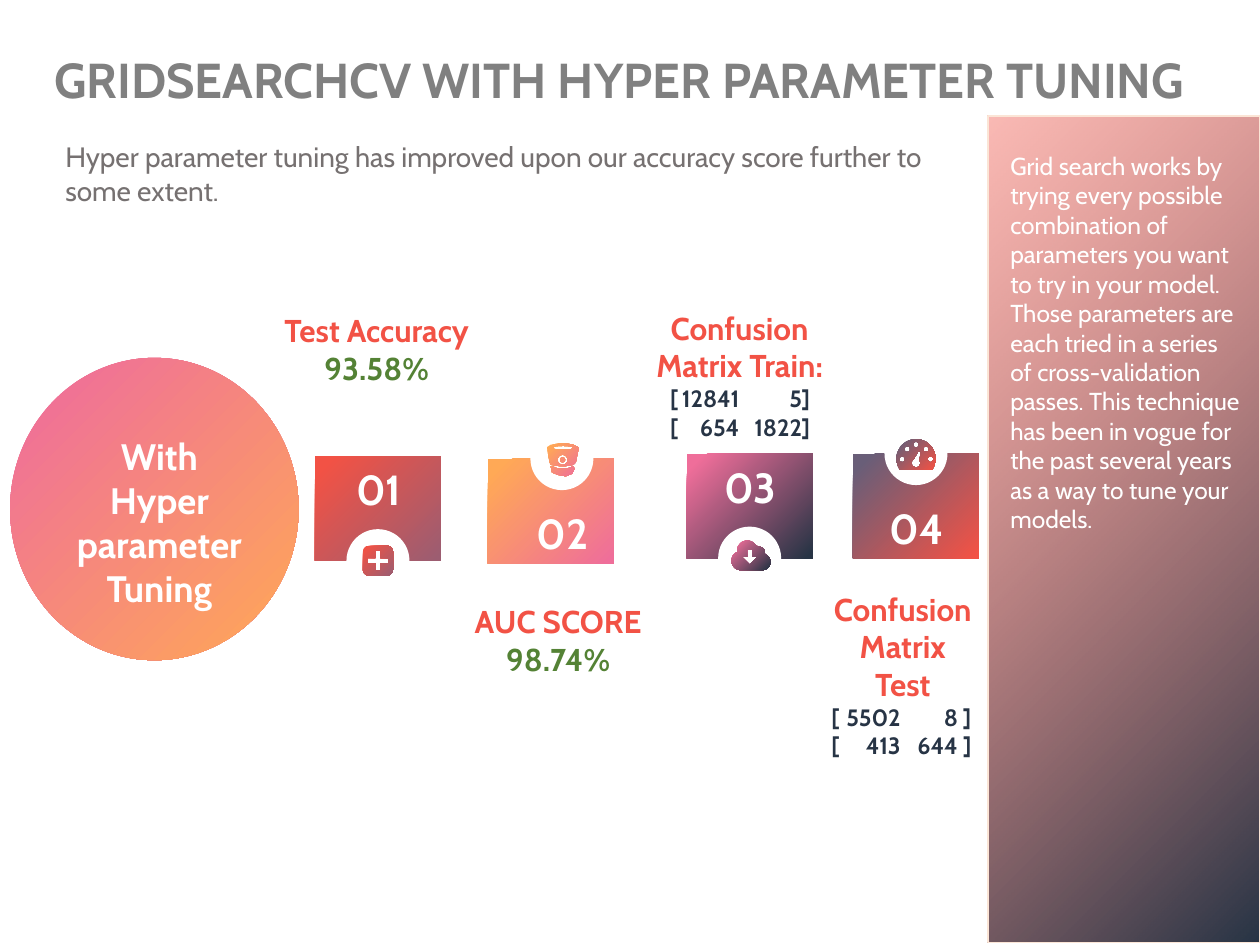
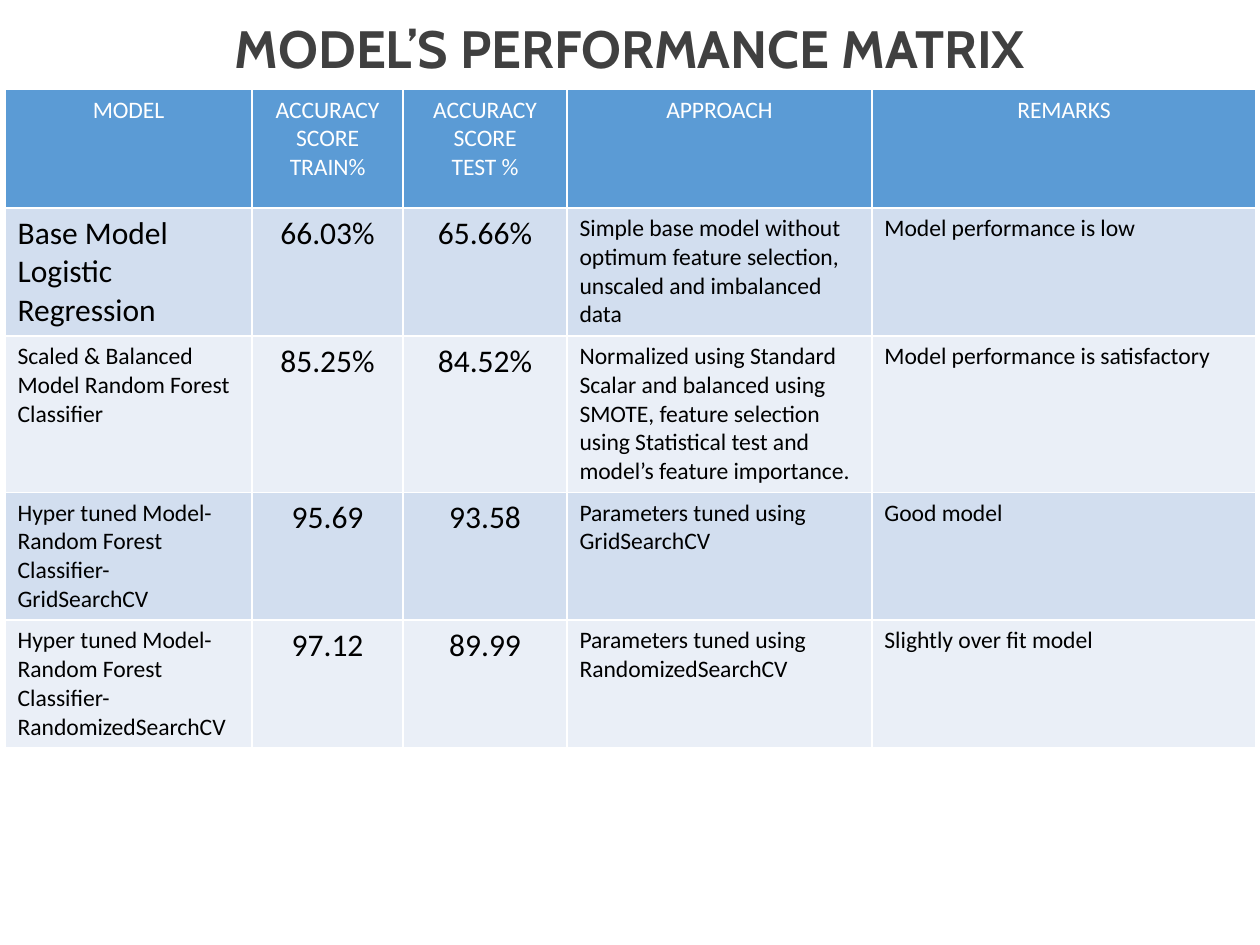
from dataclasses import dataclass
from math import cos, radians, sin

from lxml.etree import SubElement
from pptx import Presentation
from pptx.dml.color import RGBColor
from pptx.enum.shapes import MSO_SHAPE
from pptx.enum.text import MSO_ANCHOR, MSO_AUTO_SIZE, PP_ALIGN
from pptx.oxml.ns import qn
from pptx.util import Inches, Pt


# Theme: colours, fonts and type sizes
@dataclass(frozen=True)
class Theme:
    head: str = "Cabin"
    grid: str = "Calibri"
    white: str = "FFFFFF"
    black: str = "000000"
    gray: str = "808080"
    dark: str = "404040"
    soft: str = "767171"
    red: str = "F25245"
    pink: str = "EF6E9A"
    gold: str = "FFA956"
    plum: str = "9C5D71"
    slate: str = "695E78"
    navy: str = "273445"
    green: str = "548235"
    edge: str = "FBE5D6"
    blue: str = "5B9BD5"
    bands: tuple = ("D2DEEF", "EAEFF7")
    digit: float = 24
    round: float = 21
    label: float = 18
    lead: float = 16
    body: float = 14
    small: float = 13.5


T = Theme()
LEFT, MID = PP_ALIGN.LEFT, PP_ALIGN.CENTER


# Icon outlines, in hundredths of an inch around the bubble centre
def arc(x, y, rx, ry=None, start=0, end=360, steps=16):
    ry = ry or rx
    turns = [radians(start + (end - start) * i / steps) for i in range(steps + 1)]
    return [(x + rx * cos(t), y + ry * sin(t)) for t in turns]


def corner(x, y, start):
    return arc(x, y, 5, start=start, end=start + 90, steps=6)


PLUS = [
    corner(7, 7, 0) + corner(-7, 7, 90) + corner(-7, -7, 180) + corner(7, -7, 270),
    [(-2, -8), (2, -8), (2, -2), (8, -2), (8, 2), (2, 2),
     (2, 8), (-2, 8), (-2, 2), (-8, 2), (-8, -2), (-2, -2)],
]
POT = [
    [(-12, -9), (-9, -11), (-3, -12), (4, -12), (9, -11), (13, -9), (13, -7),
     (11, 3), (9, 5), (3, 6), (-2, 6), (-9, 5), (-10, 2)],
    [(-9, 6), (-8, 6), (-3, 8), (4, 8), (9, 6), (10, 8), (8, 12),
     (3, 14), (-3, 13), (-8, 11)],
    arc(1, -8.5, 8, 1.5),
    arc(0.5, 1, 4),
    arc(0.5, 1, 2),
]
CLOUD = [
    arc(-7, 2, 7.5, start=90, end=250) + arc(-2, -6, 8, start=180, end=330)
    + arc(8, -5, 4, start=270, end=360) + arc(10, 3, 6.5, start=290, end=450),
    [(-2, -7), (2, -7), (2, -1), (6, -1), (0, 5), (-6, -1), (-2, -1)],
]
GAUGE = [
    arc(0, 4, 15.5, start=145, end=395, steps=30),
    arc(0, 7.5, 3.5, start=-40, end=240) + [(2, -2), (4, -2)],
] + [arc(x, y, 2.3) for x, y in
     [(-11, 4.5), (-7, -3.5), (0, -7), (8, -3.5), (11.5, 4.5)]]

# Content of the tuning slide
LEAD = ("Hyper parameter tuning has improved upon our accuracy score "
        "further to some extent.")
SIDE = ("Grid search works by trying every possible combination of parameters "
        "you want to try in your model. Those parameters are each tried in a "
        "series of cross-validation passes. This technique has been in vogue for "
        "the past several years as a way to tune your models.")

# number, left, top, bubble on top edge, shift of bubble, colours, icon
CARDS = [
    ("01", 2.5, 3.62, False, 0, (T.red, T.plum), PLUS),
    ("02", 3.87, 3.64, True, 0.09, (T.gold, T.pink), POT),
    ("03", 5.45, 3.6, False, 0, (T.pink, T.navy), CLOUD),
    ("04", 6.77, 3.6, True, 0, (T.slate, T.red), GAUGE),
]
# box, red headings, green score, matrix rows
NOTES = [
    ((2.07, 2.42, 1.84, 1.01), ["Test Accuracy"], ["93.58%"], []),
    ((3.55, 4.73, 1.76, 0.8), ["AUC SCORE"], ["98.74%"], []),
    ((4.93, 2.4, 1.88, 1.16), ["Confusion Matrix Train:"], [],
     ["\t[\t12841\t5]", "\t[\t654\t1822]"]),
    ((6.21, 4.63, 1.91, 1.69), ["Confusion Matrix", "Test"], [],
     ["\t[\t5502\t8 ]", "\t[\t413\t644 ]"]),
]
STOPS = [(0.29, "l"), (0.84, "r"), (1.4, "r")]

# Content of the table slide
WIDTHS = [1.96, 1.2, 1.3, 2.42, 3.05]
HEIGHTS = [0.94, 1, 1.24, 1.01, 1.01]
ROWS = [
    ["MODEL", "ACCURACY SCORE TRAIN%", "ACCURACY SCORE\nTEST %", "APPROACH", "REMARKS"],
    ["Base Model\nLogistic Regression", "66.03%", "65.66%",
     "Simple base model without optimum feature selection, unscaled and imbalanced data",
     "Model performance is low"],
    ["Scaled & Balanced Model Random Forest Classifier", "85.25%", "84.52%",
     "Normalized using Standard Scalar and balanced using SMOTE, feature selection "
     "using Statistical test and model’s feature importance.",
     "Model performance is satisfactory"],
    ["Hyper tuned Model- Random Forest Classifier- GridSearchCV", "95.69", "93.58",
     "Parameters tuned using GridSearchCV", "Good model"],
    ["Hyper tuned Model- Random Forest Classifier- RandomizedSearchCV", "97.12", "89.99",
     "Parameters tuned using RandomizedSearchCV", "Slightly over fit model"],
]


# Shared helpers
def rgb(code):
    return RGBColor.from_string(code)


def style(para, size, color, bold=False, align=LEFT, face=T.head):
    font = para.font
    font.name, font.size, font.bold = face, Pt(size), bold
    font.color.rgb = rgb(color)
    para.alignment = align


def place(shape, box):
    shape.left, shape.top, shape.width, shape.height = map(Inches, box)


def title(deck, text, box, size, color, align):
    slide = deck.slides.add_slide(deck.slide_layouts[5])
    head = slide.shapes.title
    place(head, box)
    frame = head.text_frame
    frame.text = text
    frame.auto_size = MSO_AUTO_SIZE.NONE
    frame.vertical_anchor = MSO_ANCHOR.TOP
    style(frame.paragraphs[0], size, color, True, align)
    return slide


def write(slide, box, lines, size, color, bold=False, align=LEFT):
    frame = slide.shapes.add_textbox(*map(Inches, box)).text_frame
    frame.word_wrap = True
    frame.text = "\n".join(lines)
    for para in frame.paragraphs:
        style(para, size, color, bold, align)
    return frame.paragraphs


def blend(shape, colors, ends=(0.08, 0.98)):
    shape.shadow.inherit = False
    shape.line.fill.background()
    shape.fill.gradient()
    shape.fill.gradient_angle = 315
    for stop, color, end in zip(shape.fill.gradient_stops, colors, ends):
        stop.color.rgb = rgb(color)
        stop.position = end


def shape(slide, kind, box):
    return slide.shapes.add_shape(kind, *map(Inches, box))


def icon(slide, x, y, rings, colors):
    # The builder works in thousandths of an inch
    paths = [[(x * 1000 + 10 * px, y * 1000 + 10 * py) for px, py in ring]
             for ring in rings]
    pen = slide.shapes.build_freeform(*paths[0][0], scale=Inches(1) / 1000)
    for i, path in enumerate(paths):
        if i:
            pen.move_to(*path[0])
        pen.add_line_segments(path[1:], close=True)
    blend(pen.convert_to_shape(), colors)


def card(slide, num, x, y, above, shift, colors, rings):
    blend(shape(slide, MSO_SHAPE.RECTANGLE, (x, y, 1, 0.83)), colors)
    mid, rim = x + 0.5 + shift, y if above else y + 0.83
    dot = shape(slide, MSO_SHAPE.OVAL, (mid - 0.25, rim - 0.25, 0.5, 0.5))
    dot.shadow.inherit = False
    dot.fill.solid()
    dot.fill.fore_color.rgb = rgb(T.white)
    dot.line.fill.background()
    drop = 0.34 if above else 0.01
    write(slide, (mid - 0.32, y + drop, 0.65, 0.5), [num], T.digit, T.white, True, MID)
    icon(slide, mid, rim, rings, colors)


def tabs(para):
    stops = SubElement(para._p.get_or_add_pPr(), qn("a:tabLst"))
    for pos, align in STOPS:
        SubElement(stops, qn("a:tab"), pos=str(Inches(pos)), algn=align)
    # Tab stops come before the default run properties
    para.font._element.addprevious(stops)


def note(slide, box, heads, score, cells):
    paras = write(slide, box, heads + score + cells, T.label, T.red, True, MID)
    for para in paras[len(heads):]:
        if score:
            para.font.color.rgb = rgb(T.green)
        else:
            style(para, T.small, T.navy, True)
            tabs(para)


# Slides
def tuning(deck):
    slide = title(deck, "GRIDSEARCHCV WITH HYPER PARAMETER TUNING",
                  (0.33, 0.34, 9.25, 0.57), 28, T.gray, LEFT)
    write(slide, (0.42, 1.06, 7.19, 0.64), [LEAD], T.lead, T.soft)
    disc = shape(slide, MSO_SHAPE.OVAL, (0.08, 2.84, 2.29, 2.4))
    blend(disc, (T.pink, T.gold), (0.07, 1))
    write(slide, (0.1, 3.39, 2.33, 1.5), ["With", "Hyper parameter Tuning"],
          T.round, T.white, True, MID)
    for item in CARDS:
        card(slide, *item)

    # Side panel
    panel = shape(slide, MSO_SHAPE.RECTANGLE, (7.84, 0.92, 2.16, 6.56))
    blend(panel, (T.red, T.navy), (0, 1))
    first = panel._element.spPr.find(".//" + qn("a:srgbClr"))
    SubElement(first, qn("a:alpha"), val="40000")
    panel.line.color.rgb = rgb(T.edge)
    panel.line.width = Pt(1)
    for item in NOTES:
        note(slide, *item)
    write(slide, (7.92, 1.15, 2.06, 2.93), [SIDE], T.body, T.white)


def matrix(deck):
    slide = title(deck, "MODEL’S PERFORMANCE MATRIX",
                  (0, 0.08, 10, 0.61), 30, T.dark, MID)
    box = map(Inches, (0.04, 0.71, sum(WIDTHS), sum(HEIGHTS)))
    table = slide.shapes.add_table(len(ROWS), len(WIDTHS), *box).table
    for col, width in zip(table.columns, WIDTHS):
        col.width = Inches(width)
    for r, (row, high) in enumerate(zip(ROWS, HEIGHTS)):
        table.rows[r].height = Inches(high)
        for c, text in enumerate(row):
            cell = table.cell(r, c)
            cell.text = text
            cell.fill.solid()
            cell.fill.fore_color.rgb = rgb(T.bands[(r - 1) % 2] if r else T.blue)
            score = c in (1, 2)
            large = r and (score or (r, c) == (1, 0))
            for para in cell.text_frame.paragraphs:
                style(para, T.label if large else T.small, T.black if r else T.white,
                      align=MID if score or not r else LEFT, face=T.grid)


def main():
    deck = Presentation()
    deck.slide_width, deck.slide_height = Inches(10), Inches(7.5)
    tuning(deck)
    matrix(deck)
    deck.save("out.pptx")


if __name__ == "__main__":
    main()
